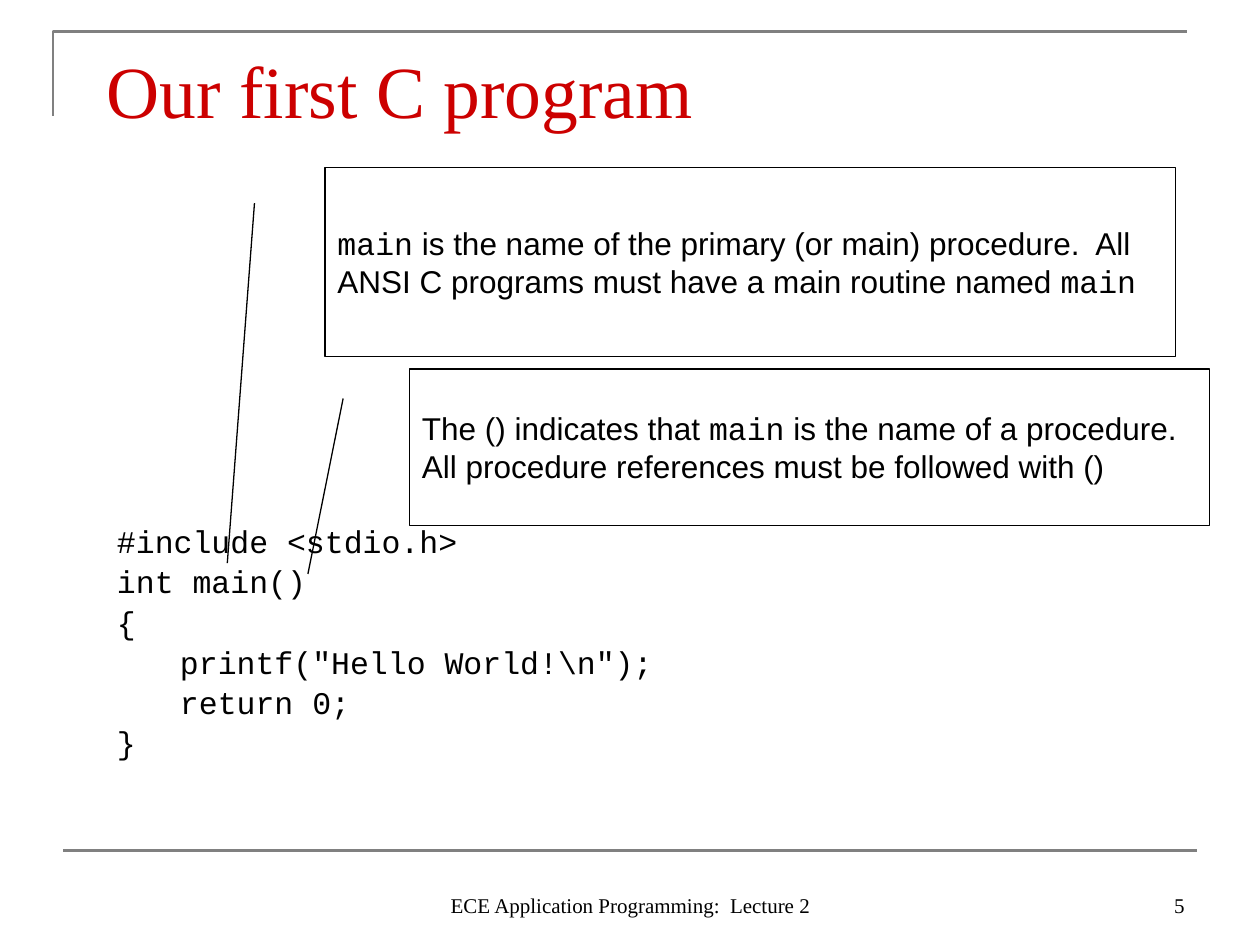
from typing import NamedTuple

from lxml.etree import SubElement
from pptx import Presentation
from pptx.dml.color import RGBColor
from pptx.enum.shapes import MSO_CONNECTOR, MSO_SHAPE
from pptx.enum.text import MSO_ANCHOR as Anchor, PP_ALIGN as Align
from pptx.oxml.ns import qn
from pptx.util import Inches, Pt

WIDTH, HEIGHT = 10, 7.5
BLACK, GREY, RED = "000000", "808080", "CC0000"
SERIF, SANS, MONO = "Times New Roman", "Arial", "Courier New"


class Box(NamedTuple):
    left: float
    top: float
    width: float
    height: float

    def emu(self) -> list:
        return [Inches(length) for length in self]


class Piece(NamedTuple):
    text: str
    font: str
    size: float = 18
    color: str = BLACK


class Label(NamedTuple):
    box: Box
    lines: list[Piece]
    anchor: Anchor = Anchor.BOTTOM
    align: Align = Align.LEFT
    spacing: float = 1.0


class Callout(NamedTuple):
    box: Box
    pointer: tuple[float, ...]  # start y, x and end y, x as shares of the box
    pieces: list[Piece]


FOOTER_TOP, FOOTER_HEIGHT = 6.83, 0.5
CODE = [
    "#include <stdio.h>",
    "int main()",
    "{",
    r'	printf("Hello World!\n");',
    "	return 0;",
    "}",
]
LABELS = [
    Label(Box(0.75, 0.25, 8.5, 0.92),
          [Piece("Our first C program", SERIF, 42, RED)], Anchor.MIDDLE),
    Label(Box(0.83, 4.08, 8.58, 1.9),
          [Piece(line, MONO) for line in CODE], Anchor.TOP, spacing=1.06),
    Label(Box(3.42, FOOTER_TOP, 3.17, FOOTER_HEIGHT),
          [Piece("ECE Application Programming:  Lecture 2", SERIF, 12)], align=Align.CENTER),
    Label(Box(7.17, FOOTER_TOP, 2.33, FOOTER_HEIGHT),
          [Piece("5", SERIF, 12)], align=Align.RIGHT),
]
CALLOUTS = [
    Callout(Box(2.58, 1.33, 6.75, 1.5), (0.188, -0.083, 2.093, -0.115), [
        Piece("main", MONO),
        Piece(" is the name of the primary (or main) procedure.  All ANSI C programs "
              "must have a main routine named ", SANS),
        Piece("main", MONO),
    ]),
    Callout(Box(3.25, 2.93, 6.35, 1.24), (0.188, -0.083, 1.311, -0.127), [
        Piece("The () indicates that ", SANS),
        Piece("main", MONO),
        Piece(" is the name of a procedure.  All procedure references must be "
              "followed with ()", SANS),
    ]),
]


def rgb(color: str) -> RGBColor:
    return RGBColor.from_string(color)


def add_piece(paragraph, piece: Piece) -> None:
    run = paragraph.add_run()
    run.text = piece.text
    run.font.name = piece.font
    run.font.size = Pt(piece.size)
    run.font.color.rgb = rgb(piece.color)


def style_line(line, color: str, width: float) -> None:
    line.color.rgb = rgb(color)
    line.width = Pt(width)


def draw_frame(shapes) -> None:
    """Draw the corner bracket above the title and the rule above the footer."""
    builder = shapes.build_freeform(Inches(0.42), Inches(0.92))
    builder.add_line_segments([(Inches(0.42), Inches(0.25)), (Inches(9.42), Inches(0.25))],
                              close=False)
    bracket = builder.convert_to_shape()
    bracket.shadow.inherit = False
    bracket.fill.background()
    style_line(bracket.line, GREY, 1.5)

    margin, rule_y = WIDTH * 0.05, HEIGHT * 0.9
    rule = shapes.add_connector(MSO_CONNECTOR.STRAIGHT, Inches(margin), Inches(rule_y),
                                Inches(WIDTH - margin), Inches(rule_y))
    style_line(rule.line, GREY, 1.5)
    SubElement(rule._element.spPr, qn("a:effectLst"))


def draw_label(shapes, label: Label) -> None:
    frame = shapes.add_textbox(*label.box.emu()).text_frame
    frame.word_wrap = True
    frame.vertical_anchor = label.anchor
    paragraph = frame.paragraphs[0]
    paragraph.alignment = label.align
    paragraph.line_spacing = label.spacing
    for number, line in enumerate(label.lines):
        if number:
            paragraph.add_line_break()
        add_piece(paragraph, line)


def draw_callout(shapes, callout: Callout) -> None:
    shape = shapes.add_shape(MSO_SHAPE.LINE_CALLOUT_1, *callout.box.emu())
    for index, share in enumerate(callout.pointer):
        shape.adjustments[index] = share
    shape.shadow.inherit = False
    shape.fill.background()
    style_line(shape.line, BLACK, 0.75)
    frame = shape.text_frame
    frame.word_wrap = True
    frame.vertical_anchor = Anchor.MIDDLE
    paragraph = frame.paragraphs[0]
    paragraph.alignment = Align.LEFT
    for piece in callout.pieces:
        add_piece(paragraph, piece)


def main() -> None:
    deck = Presentation()
    deck.slide_width, deck.slide_height = Inches(WIDTH), Inches(HEIGHT)
    shapes = deck.slides.add_slide(deck.slide_layouts[6]).shapes
    draw_frame(shapes)
    for label in LABELS:
        draw_label(shapes, label)
    for callout in CALLOUTS:
        draw_callout(shapes, callout)
    deck.save("out.pptx")


if __name__ == "__main__":
    main()
